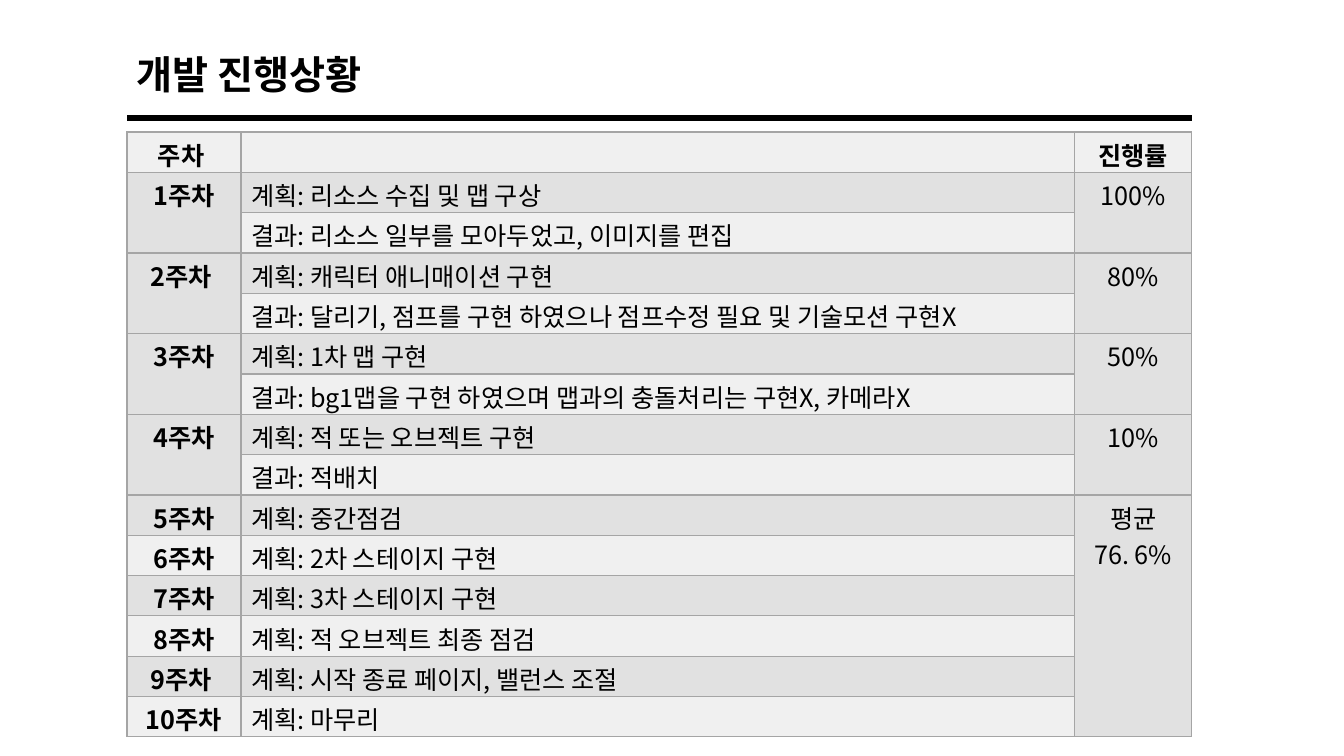
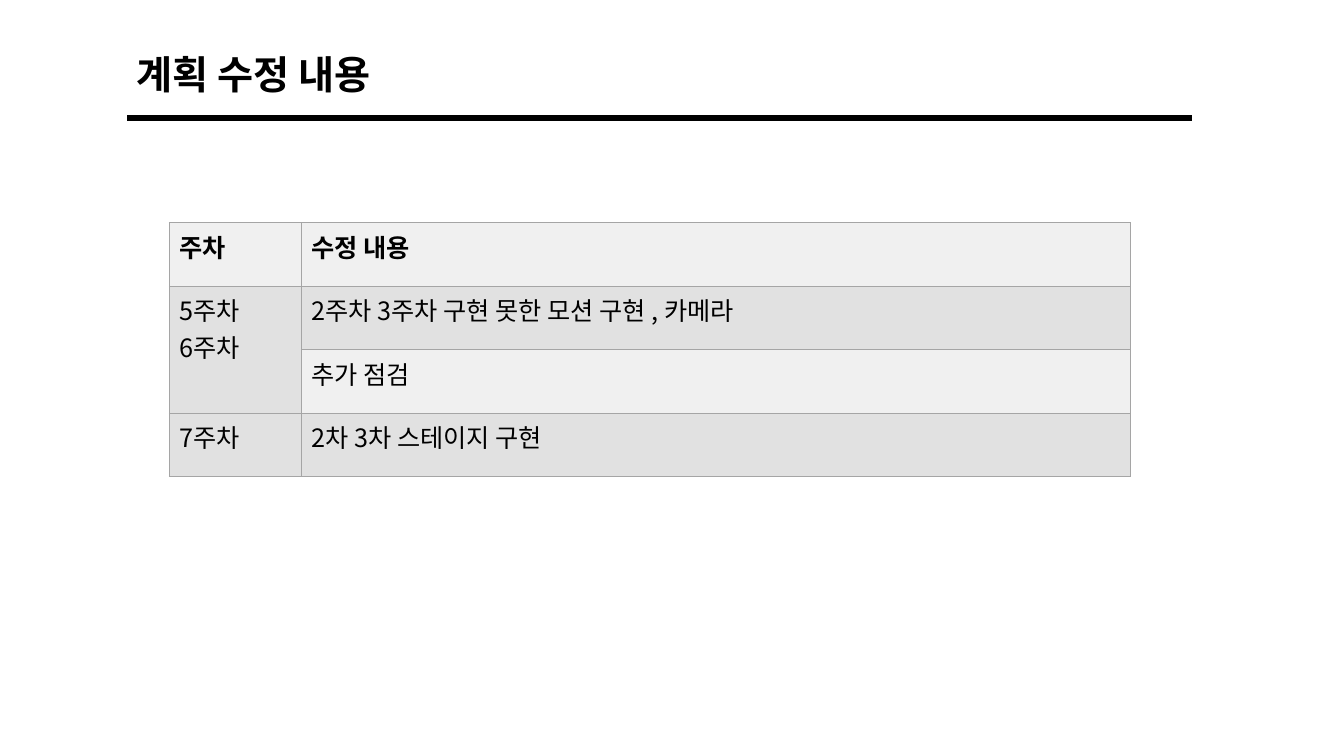
"""Build the progress report: weekly status and plan changes."""
from lxml import etree
from pptx import Presentation
from pptx.dml.color import RGBColor
from pptx.enum import shapes, text
from pptx.oxml import ns
from pptx.util import Inches, Pt

COLORS = {"ink": "000000", "light": "F0F0F0", "band": "E1E1E1", "edge": "A5A5A5"}
FACE = "Noto Sans CJK KR"
LEFT, RIGHT = 1.26, 11.82
MID = text.PP_ALIGN.CENTER

STATUS = [
    ["주차 ", "", "진행률"],
    ["1주차", "계획: 리소스 수집 및 맵 구상", "100%"],
    [None, "결과: 리소스 일부를 모아두었고, 이미지를 편집", None],
    ["2주차 ", "계획: 캐릭터 애니매이션 구현", "80%"],
    [None, "결과: 달리기, 점프를 구현 하였으나 점프수정 필요 및 기술모션 구현X", None],
    ["3주차", "계획: 1차 맵 구현", "50%"],
    [None, "결과: bg1맵을 구현 하였으며 맵과의 충돌처리는 구현X, 카메라X", None],
    ["4주차", "계획: 적 또는 오브젝트 구현", "10%"],
    [None, "결과: 적배치", None],
    ["5주차", "계획: 중간점검", "평균\n76. 6%"],
    ["6주차", "계획: 2차 스테이지 구현", None],
    ["7주차", "계획: 3차 스테이지 구현", None],
    ["8주차", "계획: 적 오브젝트 최종 점검", None],
    ["9주차 ", "계획: 시작 종료 페이지, 밸런스 조절", None],
    ["10주차", "계획: 마무리", None],
]
CHANGES = [
    ["주차", "수정 내용"],
    ["5주차\n6주차", "2주차 3주차 구현 못한 모션 구현 , 카메라"],
    [None, "추가 점검"],
    ["7주차", "2차 3차 스테이지 구현"],
]


def color(key):
    """Return a named colour."""
    return RGBColor.from_string(COLORS[key])


def write(frame, words, size, bold, align=None):
    """Fill a text frame, one paragraph per line of words."""
    frame.text = words
    look = {"size": Pt(size), "bold": bold, "name": FACE}
    for para in frame.paragraphs:
        para.alignment = align
        for run in para.runs:
            for key, value in look.items():
                setattr(run.font, key, value)
            run.font.color.rgb = color("ink")
            etree.SubElement(run.font._element, ns.qn("a:ea"), typeface=FACE)


def add_head(slide, words):
    """Add the title and the thick rule below it."""
    box = slide.shapes.add_textbox(
        Inches(LEFT), Inches(0.45), Inches(2.84), Inches(0.57))
    box.text_frame.word_wrap = True
    box.text_frame.auto_size = text.MSO_AUTO_SIZE.SHAPE_TO_FIT_TEXT
    write(box.text_frame, words, 28, True)
    rule = slide.shapes.add_connector(
        shapes.MSO_CONNECTOR.STRAIGHT,
        Inches(LEFT), Inches(1.17), Inches(RIGHT), Inches(1.17))
    rule.line.width = Pt(4.5)
    rule.line.color.rgb = color("ink")
    etree.SubElement(rule._element.spPr, ns.qn("a:effectLst"))


def edge(cell):
    """Draw a thin line on all four sides of a cell."""
    props = cell._tc.get_or_add_tcPr()
    for side in ("lnL", "lnR", "lnT", "lnB"):
        line = etree.SubElement(props, ns.qn("a:" + side), w=str(Pt(1)))
        fill = etree.SubElement(line, ns.qn("a:solidFill"))
        etree.SubElement(fill, ns.qn("a:srgbClr"), val=COLORS["edge"])


def add_grid(slide, rows, left, top, widths, height, pads, mid=(), bold=()):
    """Add a banded table; a None cell joins the cell above it."""
    grid = slide.shapes.add_table(
        len(rows), len(widths), Inches(left), Inches(top),
        Inches(sum(widths)), Inches(height * len(rows))).table
    grid.first_row = grid.horz_banding = False
    for col, width in zip(grid.columns, widths):
        col.width = Inches(width)
    for r, row in enumerate(rows):
        grid.rows[r].height = Inches(height)
        for c, words in enumerate(row):
            cell = grid.cell(r, c)
            cell.margin_top, cell.margin_bottom = map(Inches, pads)
            edge(cell)
            cell.fill.solid()
            cell.fill.fore_color.rgb = color("band" if r % 2 else "light")
            if words is not None:
                write(cell.text_frame, words, 18, r == 0 or c in bold,
                      MID if c in mid else None)
    for c in range(len(widths)):
        starts = [r for r, row in enumerate(rows) if row[c] is not None]
        for first, after in zip(starts, starts[1:] + [len(rows)]):
            if after - first > 1:
                grid.cell(first, c).merge(grid.cell(after - 1, c))


def main():
    """Build and save both slides."""
    deck = Presentation()
    deck.slide_width, deck.slide_height = Inches(13.33), Inches(7.5)
    blank = deck.slide_layouts[6]

    slide = deck.slides.add_slide(blank)
    add_head(slide, "개발 진행상황")
    add_grid(slide, STATUS, LEFT, 1.31, [1.13, 8.27, 1.16], 0.4,
             (0.04, 0), mid=(0, 2), bold=(0,))

    slide = deck.slides.add_slide(blank)
    add_head(slide, "계획 수정 내용")
    add_grid(slide, CHANGES, 1.68, 2.21, [1.31, 8.22], 0.63, (0.05, 0.05))

    deck.save("out.pptx")


main()
